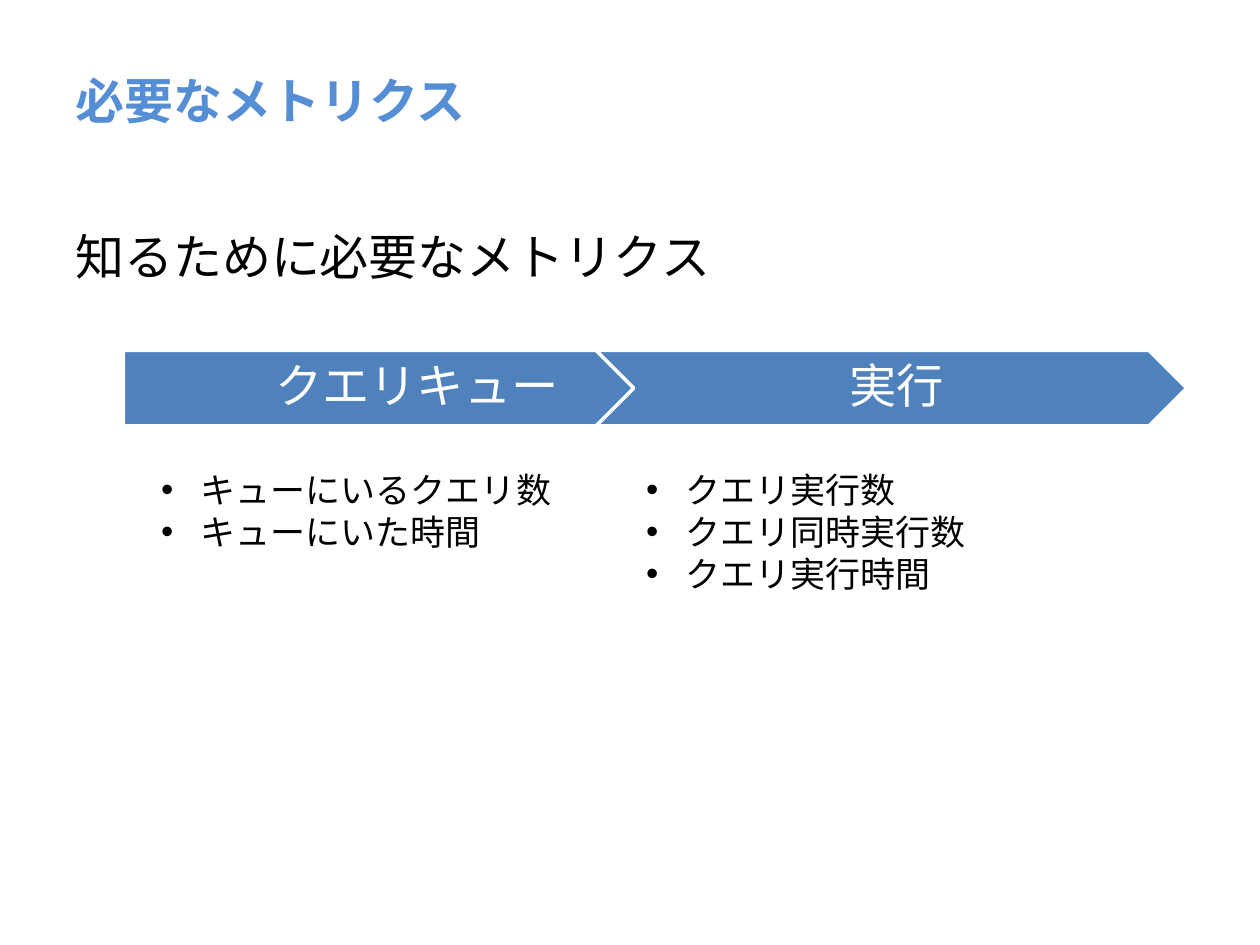
"""Build a slide listing the metrics needed for each query stage."""
from lxml import etree
from pptx import Presentation
from pptx.dml.color import RGBColor
from pptx.enum.shapes import MSO_SHAPE
from pptx.enum.text import MSO_ANCHOR, MSO_AUTO_SIZE, PP_ALIGN
from pptx.oxml.ns import qn
from pptx.util import Pt

PENTAGON, CHEVRON = MSO_SHAPE.PENTAGON, MSO_SHAPE.CHEVRON
MIDDLE = MSO_ANCHOR.MIDDLE
NO_FIT, GROW = MSO_AUTO_SIZE.NONE, MSO_AUTO_SIZE.SHAPE_TO_FIT_TEXT
LEFT, CENTER = PP_ALIGN.LEFT, PP_ALIGN.CENTER

BLACK = RGBColor(0, 0, 0)
WHITE = RGBColor(255, 255, 255)
TITLE_BLUE = RGBColor(0x55, 0x8E, 0xD5)
ARROW_BLUE = RGBColor(0x4F, 0x81, 0xBD)
JP_FONT, ARROW_FONT = "Noto Sans CJK JP", "Calibri"

ARROW_LEFT, ARROW_STEP = 70.5, 270
STAGES = [
    (PENTAGON, "クエリキュー", (11.5, 2.9), (85, 239, 55.4),
     ["キューにいるクエリ数", "キューにいた時間"]),
    (CHEVRON, "実行", (8.6, 2.9), (362.2, 198.7, 79.9),
     ["クエリ実行数", "クエリ同時実行数", "クエリ実行時間"]),
]


def add_run(p, text, size, color, font=JP_FONT, bold=False):
    """Append a formatted run to a paragraph."""
    r = p.add_run()
    r.text = text
    r.font.size = Pt(size)
    r.font.bold = bold
    r.font.color.rgb = color
    r.font.name = font
    if font == JP_FONT:
        etree.SubElement(r.font._element, qn("a:ea"), typeface=font)


def set_title(s, text):
    """Place and format the title placeholder."""
    sp = s.shapes.title
    sp.left, sp.top, sp.width, sp.height = Pt(36), Pt(37.4), Pt(648), Pt(39.6)
    tf = sp.text_frame
    tf.auto_size = NO_FIT
    tf.vertical_anchor = MIDDLE
    p = tf.paragraphs[0]
    p.alignment = LEFT
    add_run(p, text, 28, TITLE_BLUE, bold=True)


def add_lead(s, text):
    """Add the lead sentence under the title."""
    sp = s.shapes.add_textbox(Pt(36), Pt(126), Pt(648), Pt(356.4))
    tf = sp.text_frame
    tf.word_wrap = True
    p = tf.paragraphs[0]
    p.space_before = Pt(5.6)
    add_run(p, text, 28, BLACK)


def add_arrow(s, kind, left, text, insets):
    """Add one labelled stage arrow."""
    sp = s.shapes.add_shape(kind, Pt(left), Pt(200.2), Pt(337.7), Pt(43.2))
    sp.shadow.inherit = False
    sp.fill.solid()
    sp.fill.fore_color.rgb = ARROW_BLUE
    sp.line.color.rgb = WHITE
    sp.line.width = Pt(2)
    tf = sp.text_frame
    tf.word_wrap = True
    tf.vertical_anchor = MIDDLE
    tf.margin_left, tf.margin_right = (Pt(inset) for inset in insets)
    tf.margin_top = tf.margin_bottom = Pt(5.8)
    p = tf.paragraphs[0]
    p.alignment = CENTER
    p.line_spacing = 0.9
    p.space_after = Pt(9.45)
    add_run(p, text, 27, WHITE, ARROW_FONT)


def add_bullets(s, box, items):
    """Add a bulleted list of metrics."""
    left, width, height = box
    sp = s.shapes.add_textbox(Pt(left), Pt(264.2), Pt(width), Pt(height))
    tf = sp.text_frame
    tf.word_wrap = False
    tf.auto_size = GROW
    for i, item in enumerate(items):
        p = tf.add_paragraph() if i else tf.paragraphs[0]
        pPr = p._p.get_or_add_pPr()
        pPr.set("marL", str(Pt(22.5)))
        pPr.set("indent", str(Pt(-22.5)))
        etree.SubElement(pPr, qn("a:buFont"), typeface="Arial")
        etree.SubElement(pPr, qn("a:buChar"), char="•")
        add_run(p, item, 20, BLACK)


def main():
    """Build and save the slide."""
    prs = Presentation()
    prs.slide_width, prs.slide_height = Pt(720), Pt(540)
    s = prs.slides.add_slide(prs.slide_layouts[5])
    set_title(s, "必要なメトリクス")
    add_lead(s, "知るために必要なメトリクス")
    for i, (kind, label, insets, box, items) in enumerate(STAGES):
        add_arrow(s, kind, ARROW_LEFT + i * ARROW_STEP, label, insets)
        add_bullets(s, box, items)
    prs.save("out.pptx")


if __name__ == "__main__":
    main()
